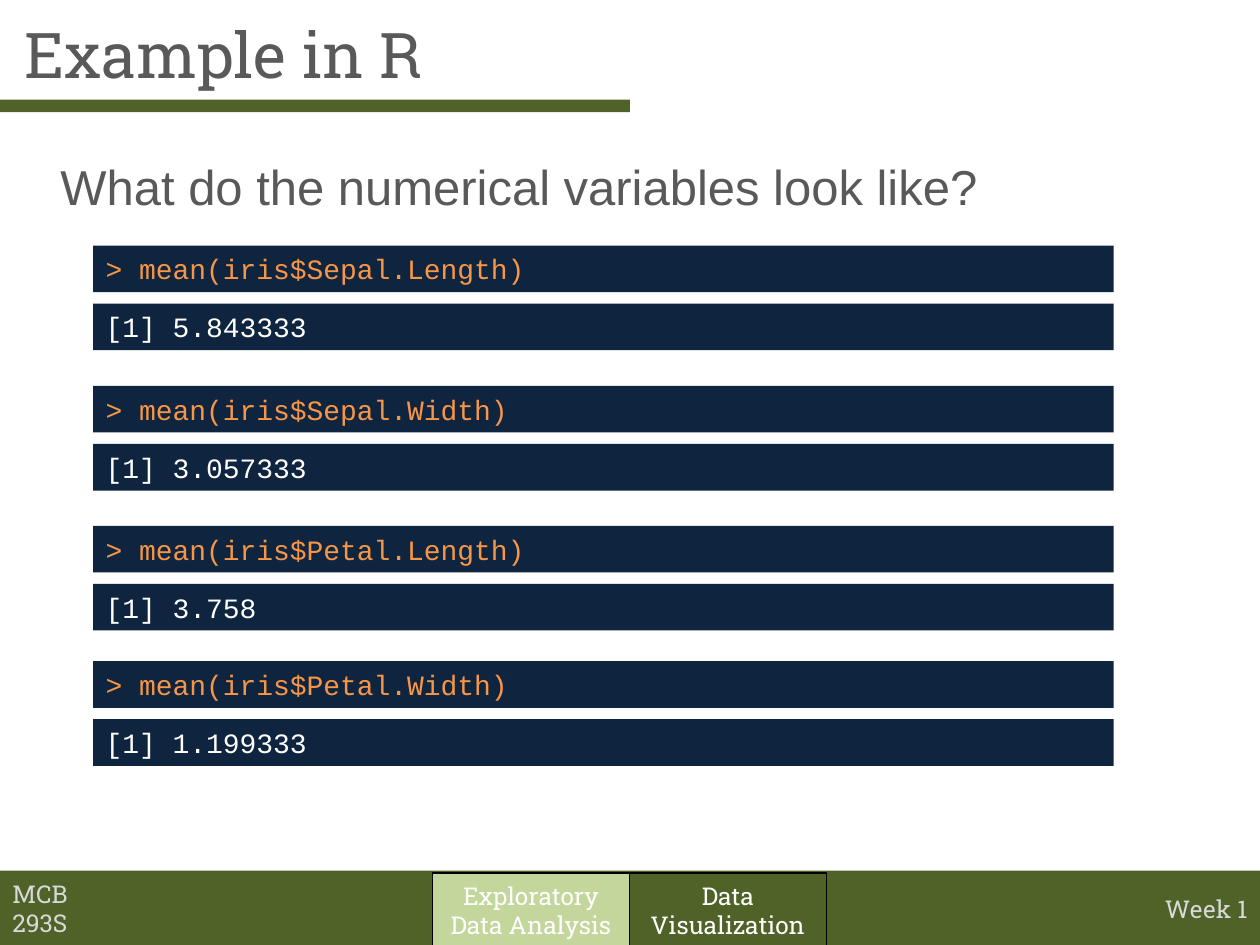
from typing import NamedTuple

from pptx import Presentation
from pptx.dml.color import RGBColor
from pptx.enum.shapes import MSO_SHAPE as Shape
from pptx.enum.text import MSO_ANCHOR as Anchor, MSO_AUTO_SIZE as AutoSize, PP_ALIGN as Align
from pptx.util import Cm, Pt

COLORS = {
    "text": "595959",
    "green": "4F6228",
    "light_green": "C3D69B",
    "navy": "0F243E",
    "orange": "F79646",
    "white": "FFFFFF",
    "gray": "D9D9D9",
    "black": "000000",
}
SLAB, SANS, MONO = "Roboto Slab", "Arial", "Courier New"
INSET_X, INSET_Y = 0.25, 0.13


class Box(NamedTuple):
    left: float
    top: float
    width: float
    height: float

    def lengths(self) -> tuple:
        return tuple(Cm(v) for v in self)


class Example(NamedTuple):
    top: float
    column: str
    mean: str


class Tab(NamedTuple):
    left: float
    text: str
    fill: str


EXAMPLES = [
    Example(4.95, "Sepal.Length", "5.843333"),
    Example(7.78, "Sepal.Width", "3.057333"),
    Example(10.6, "Petal.Length", "3.758"),
    Example(13.33, "Petal.Width", "1.199333"),
]
CODE_LEFT, CODE_WIDTH, CODE_HEIGHT, OUTPUT_OFFSET = 1.88, 20.57, 0.94, 1.17

TABS = [
    Tab(8.72, "Exploratory\nData Analysis", "light_green"),
    Tab(12.69, "Data Visualization", "green"),
]
TAB_TOP, TAB_WIDTH, TAB_HEIGHT = 17.6, 3.97, 1.5


def rgb(name: str) -> RGBColor:
    return RGBColor.from_string(COLORS[name])


def write(sp, text: str, *, size: float, font: str, color: str, align=Align.LEFT,
          anchor=Anchor.TOP, wrap=True, top_inset=INSET_Y, right_inset=INSET_X) -> None:
    tf = sp.text_frame
    tf.auto_size = AutoSize.NONE
    tf.word_wrap = wrap
    tf.vertical_anchor = anchor
    tf.margin_left, tf.margin_right = Cm(INSET_X), Cm(right_inset)
    tf.margin_top, tf.margin_bottom = Cm(top_inset), Cm(INSET_Y)
    tf.text = text
    for p in tf.paragraphs:
        p.alignment = align
        for r in p.runs:
            r.font.size = Pt(size)
            r.font.name = font
            r.font.color.rgb = rgb(color)


def add_rect(s, box: Box, fill: str, line: str = ""):
    sp = s.shapes.add_shape(Shape.RECTANGLE, *box.lengths())
    sp.shadow.inherit = False
    sp.fill.solid()
    sp.fill.fore_color.rgb = rgb(fill)
    if line:
        sp.line.color.rgb = rgb(line)
        sp.line.width = Pt(0.75)
    else:
        sp.line.fill.background()
    return sp


def add_text(s, box: Box, text: str, **style) -> None:
    write(s.shapes.add_textbox(*box.lengths()), text, **style)


def add_code(s, top: float, text: str, color: str) -> None:
    sp = add_rect(s, Box(CODE_LEFT, top, CODE_WIDTH, CODE_HEIGHT), "navy")
    write(sp, text, size=16, font=MONO, color=color)


def add_example(s, example: Example) -> None:
    add_code(s, example.top, f"> mean(iris${example.column})", "orange")
    add_code(s, example.top + OUTPUT_OFFSET, f"[1] {example.mean}", "white")


def add_tab(s, tab: Tab) -> None:
    sp = add_rect(s, Box(tab.left, TAB_TOP, TAB_WIDTH, TAB_HEIGHT), tab.fill, "black")
    write(sp, tab.text, size=14, font=SLAB, color="white",
          align=Align.CENTER, anchor=Anchor.MIDDLE)


def main() -> None:
    prs = Presentation()
    prs.slide_width, prs.slide_height = Cm(25.4), Cm(19.05)
    s = prs.slides.add_slide(prs.slide_layouts[5])

    title = s.shapes.title
    title.left, title.top, title.width, title.height = Box(0.25, 0, 24.87, 2.13).lengths()
    write(title, "Example in R", size=36, font=SLAB, color="text", anchor=Anchor.MIDDLE)
    add_text(s, Box(0.97, 2.92, 23.44, 2.03), "What do the numerical variables look like?",
             size=28, font=SANS, color="text", top_inset=0.23)

    add_rect(s, Box(0, 2.01, 12.7, 0.25), "green")
    add_rect(s, Box(0, 17.55, 25.4, 1.5), "green")

    for example in EXAMPLES:
        add_example(s, example)

    footer = dict(size=14, font=SLAB, color="gray", anchor=Anchor.MIDDLE)
    add_text(s, Box(0, 17.88, 2.82, 0.86), "MCB 293S", right_inset=0.6, **footer)
    for tab in TABS:
        add_tab(s, tab)
    add_text(s, Box(23.19, 17.88, 2.21, 0.86), "Week 1", align=Align.RIGHT, wrap=False, **footer)

    prs.save("out.pptx")


if __name__ == "__main__":
    main()
